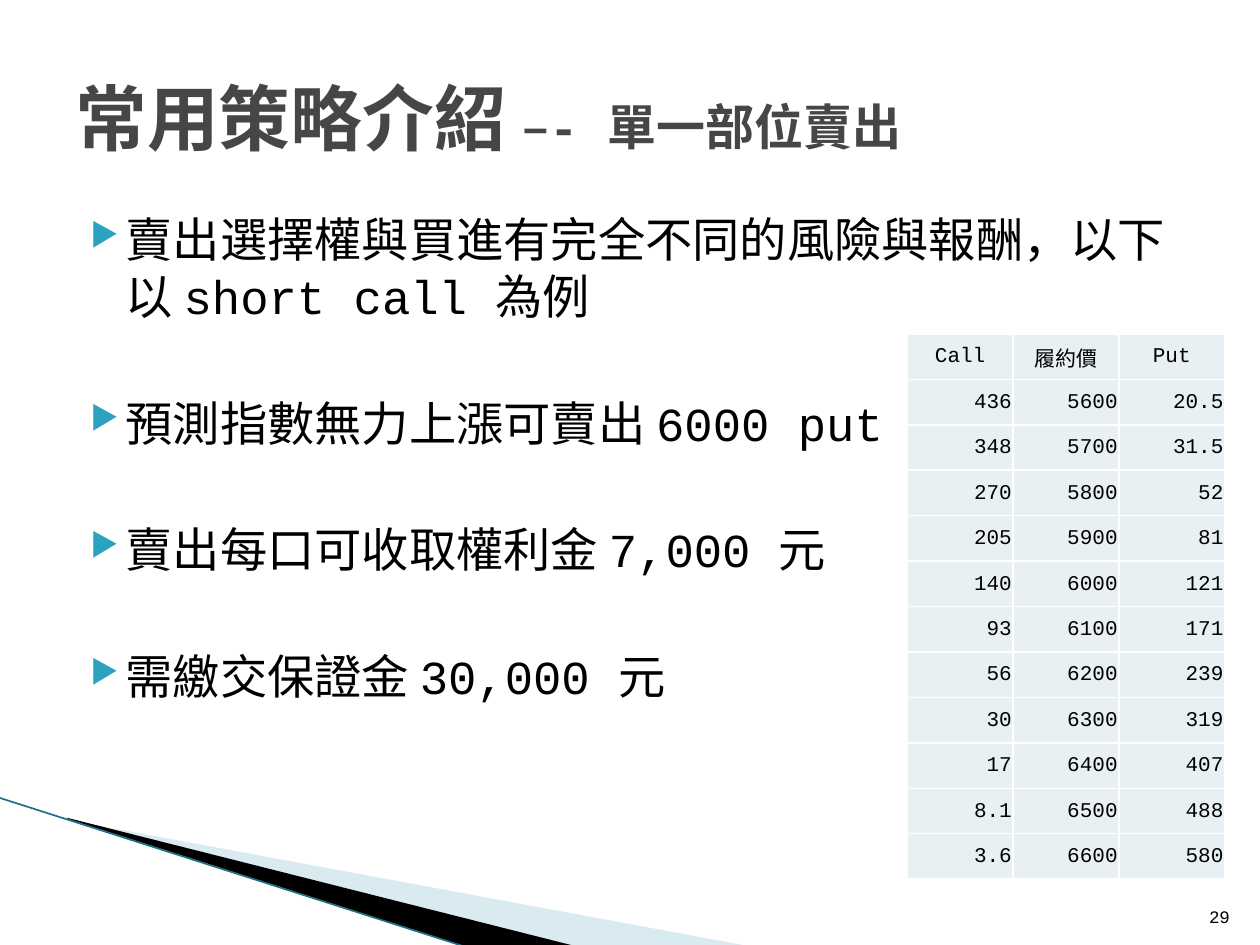
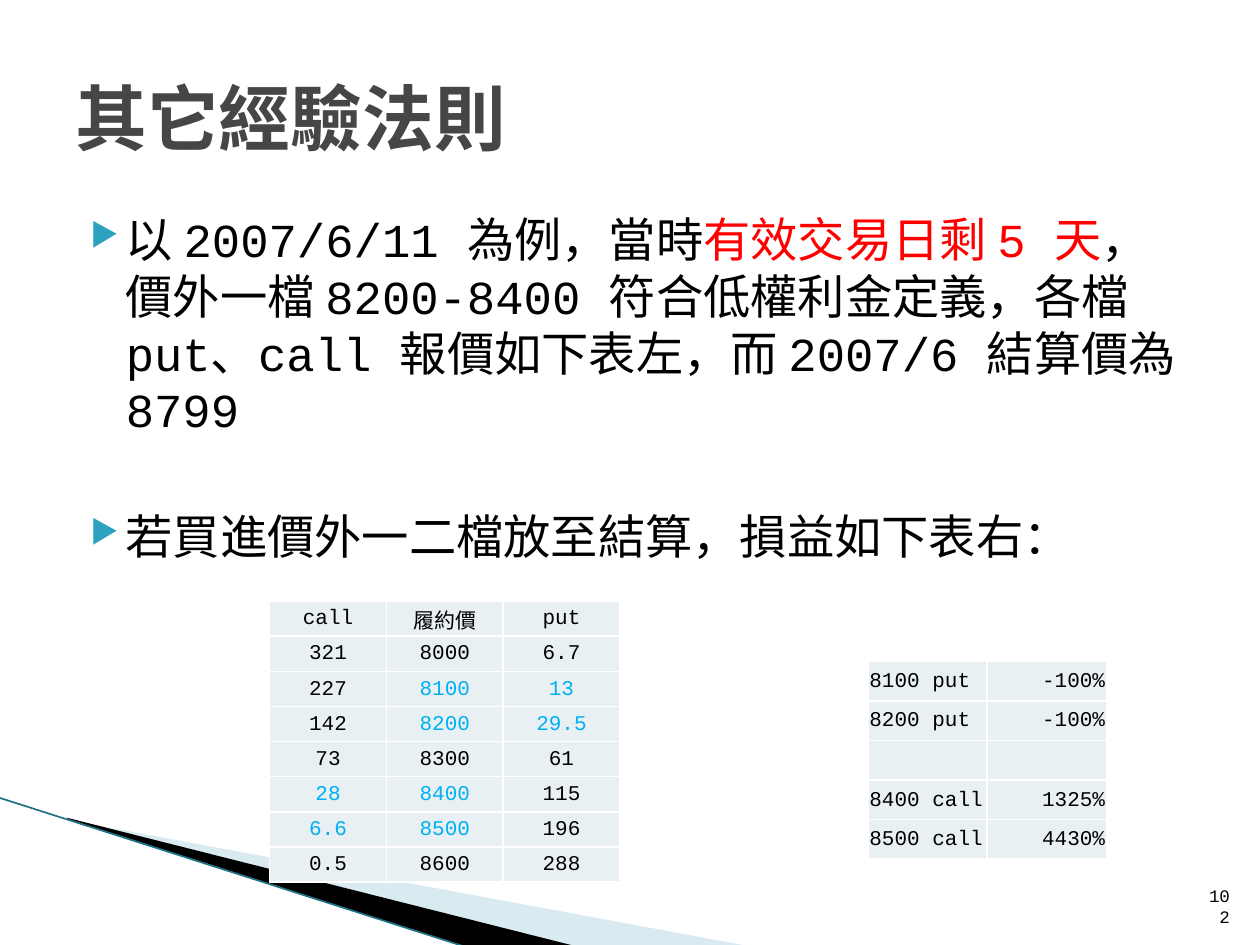
from dataclasses import dataclass
from itertools import product

from lxml.etree import SubElement
from pptx import Presentation
from pptx.dml.color import RGBColor
from pptx.enum.shapes import MSO_CONNECTOR
from pptx.enum.text import MSO_ANCHOR, PP_ALIGN
from pptx.oxml.ns import qn
from pptx.util import Emu, Pt

EMU_PER_PX = 9144


@dataclass(frozen=True)
class Theme:
    """Colours, font and type sizes shared by the slides."""
    font: str = "Courier New"
    ink: str = "000000"
    title: str = "464646"
    bullet: str = "2DA2BF"
    warning: str = "FF0000"
    highlight: str = "00B0F0"
    cell: str = "E8F0F4"
    grid: str = "FFFFFF"
    pale_band: str = "A0CBDC"
    edge: str = "1E7186"
    title_size: int = 41
    subtitle_size: int = 28
    body_size: int = 27
    table_size: int = 12
    number_size: int = 10


THEME = Theme()

OPTION_QUOTES = [
    ("Call", "履約價", "Put"),
    ("436", "5600", "20.5"),
    ("348", "5700", "31.5"),
    ("270", "5800", "52"),
    ("205", "5900", "81"),
    ("140", "6000", "121"),
    ("93", "6100", "171"),
    ("56", "6200", "239"),
    ("30", "6300", "319"),
    ("17", "6400", "407"),
    ("8.1", "6500", "488"),
    ("3.6", "6600", "580"),
]
JUNE_QUOTES = [
    ("call", "履約價", "put"),
    ("321", "8000", "6.7"),
    ("227", "8100", "13"),
    ("142", "8200", "29.5"),
    ("73", "8300", "61"),
    ("28", "8400", "115"),
    ("6.6", "8500", "196"),
    ("0.5", "8600", "288"),
]
OUT_OF_MONEY = {*product((2, 3), (1, 2)), *product((5, 6), (0, 1))}
RETURNS = [
    ("8100 put", "-100%"),
    ("8200 put", "-100%"),
    ("", ""),
    ("8400 call", "1325%"),
    ("8500 call", "4430%"),
]


def px(length):
    """Turn px into EMU."""
    return Emu(round(length * EMU_PER_PX))


def style_font(font, size, color, bold=False):
    """Apply the theme font with a size and colour."""
    font.name = THEME.font
    font.size = Pt(size)
    font.bold = bold
    font.color.rgb = RGBColor.from_string(color)


def add_text_frame(slide, box, anchor):
    """Add a wrapping text box and return its frame."""
    frame = slide.shapes.add_textbox(*map(px, box)).text_frame
    frame.word_wrap = True
    frame.vertical_anchor = anchor
    return frame


def add_band(slide, corners, color, opacity=100):
    """Draw one wedge of the corner decoration."""
    builder = slide.shapes.build_freeform(*corners[0], scale=EMU_PER_PX)
    builder.add_line_segments(corners[1:])
    band = builder.convert_to_shape()
    band.shadow.inherit = False
    band.line.fill.background()
    band.fill.solid()
    band.fill.fore_color.rgb = RGBColor.from_string(color)
    if opacity < 100:
        tint = band.fill._xPr.find(f".//{qn('a:srgbClr')}")
        SubElement(tint, qn("a:alpha"), val=str(opacity * 1000))


def add_corner(slide):
    """Draw the wedges and edge line at the lower left."""
    add_band(slide, [(55, 651), (595, 751), (456, 751), (55, 650)], THEME.pale_band, 40)
    add_band(slide, [(53, 649), (457, 751), (372, 752), (54, 650)], THEME.ink)
    edge = slide.shapes.add_connector(MSO_CONNECTOR.STRAIGHT, *map(px, (-1, 633, 371, 752)))
    edge.line.color.rgb = RGBColor.from_string(THEME.edge)
    edge.line.width = Pt(0.95)
    SubElement(edge._element.spPr, qn("a:effectLst"))


def add_title(slide, heading, subheading=""):
    """Add the title with an optional smaller ending."""
    paragraph = add_text_frame(slide, (50, 30, 900, 125), MSO_ANCHOR.MIDDLE).paragraphs[0]
    style_font(paragraph.font, THEME.title_size, THEME.title, bold=True)
    paragraph.add_run().text = heading
    if subheading:
        ending = paragraph.add_run()
        ending.text = subheading
        ending.font.size = Pt(THEME.subtitle_size)


def add_bullet(paragraph):
    """Give a paragraph the hanging triangle bullet."""
    properties = paragraph._p.get_or_add_pPr()
    properties.set("marL", str(px(40)))
    properties.set("indent", str(px(-28)))
    bullet_color = SubElement(properties, qn("a:buClr"))
    SubElement(bullet_color, qn("a:srgbClr"), val=THEME.bullet)
    SubElement(properties, qn("a:buSzPct"), val="68000")
    SubElement(properties, qn("a:buChar"), char="▶")


def add_points(slide, points):
    """Add bulleted points, each a list of text and colour pairs."""
    frame = add_text_frame(slide, (50, 162, 900, 495), MSO_ANCHOR.TOP)
    for index, point in enumerate(points):
        paragraph = frame.add_paragraph() if index else frame.paragraphs[0]
        add_bullet(paragraph)
        if index:
            paragraph.space_before = Pt(40)
        style_font(paragraph.font, THEME.body_size, THEME.ink)
        for words, color in point:
            run = paragraph.add_run()
            run.text = words
            if color != THEME.ink:
                run.font.color.rgb = RGBColor.from_string(color)


def style_cell(cell, align, color):
    """Set the fill, borders, insets and text style of a cell."""
    cell.margin_left = cell.margin_top = cell.margin_right = px(1)
    cell.margin_bottom = 0
    cell.vertical_anchor = MSO_ANCHOR.MIDDLE
    properties = cell._tc.get_or_add_tcPr()
    for side in ("lnL", "lnR", "lnT", "lnB"):
        border = SubElement(properties, qn(f"a:{side}"), w=str(Pt(1)))
        border_fill = SubElement(border, qn("a:solidFill"))
        SubElement(border_fill, qn("a:srgbClr"), val=THEME.grid)
    cell.fill.solid()
    cell.fill.fore_color.rgb = RGBColor.from_string(THEME.cell)
    paragraph = cell.text_frame.paragraphs[0]
    paragraph.alignment = align
    style_font(paragraph.font, THEME.table_size, color)


def add_figures(slide, box, rows, aligns, header=True, highlights=frozenset()):
    """Add an evenly divided table of figures."""
    grid = slide.shapes.add_table(len(rows), len(aligns), *map(px, box)).table
    grid.first_row = grid.horz_banding = False
    for column in grid.columns:
        column.width = px(box[2] / len(aligns))
    for row in grid.rows:
        row.height = px(box[3] / len(rows))
    for r, c in product(range(len(rows)), range(len(aligns))):
        cell = grid.cell(r, c)
        cell.text = rows[r][c]
        align = PP_ALIGN.CENTER if header and r == 0 else aligns[c]
        style_cell(cell, align, THEME.highlight if (r, c) in highlights else THEME.ink)


def add_page_number(slide, number):
    """Add the page number at the lower right."""
    paragraph = add_text_frame(slide, (946, 701, 40, 40), MSO_ANCHOR.BOTTOM).paragraphs[0]
    paragraph.alignment = PP_ALIGN.RIGHT
    style_font(paragraph.font, THEME.number_size, THEME.ink)
    paragraph.add_run().text = str(number)


def start_slide(deck, number, heading, subheading, points):
    """Add a blank slide with the parts that all slides share."""
    slide = deck.slides.add_slide(deck.slide_layouts[6])
    add_corner(slide)
    add_points(slide, points)
    add_title(slide, heading, subheading)
    add_page_number(slide, number)
    return slide


def main():
    """Build and save the two slides."""
    deck = Presentation()
    deck.slide_width, deck.slide_height = px(1000), px(750)

    selling_points = [
        "賣出選擇權與買進有完全不同的風險與報酬，以下以 short call 為例",
        "預測指數無力上漲可賣出 6000 put",
        "賣出每口可收取權利金 7,000 元",
        "需繳交保證金 30,000 元",
    ]
    selling = start_slide(deck, 29, "常用策略介紹 ", "–- 單一部位賣出",
                          [[(words, THEME.ink)] for words in selling_points])
    add_figures(selling, (720, 265, 252, 433), OPTION_QUOTES, [PP_ALIGN.RIGHT] * 3)

    rule_points = [
        [("以 2007/6/11 為例，當時", THEME.ink),
         ("有效交易日剩 5 天", THEME.warning),
         ("，價外一檔 8200-8400 符合低權利金定義，各檔 put、call 報價如下表左，"
          "而 2007/6 結算價為 8799", THEME.ink)],
        [("若買進價外一二檔放至結算，損益如下表右：", THEME.ink)],
    ]
    rules = start_slide(deck, 102, "其它經驗法則", "", rule_points)
    add_figures(rules, (214, 477, 278, 223), JUNE_QUOTES, [PP_ALIGN.CENTER] * 3,
                highlights=OUT_OF_MONEY)
    add_figures(rules, (689, 525, 189, 157), RETURNS, [PP_ALIGN.LEFT, PP_ALIGN.RIGHT],
                header=False)

    deck.save("out.pptx")


if __name__ == "__main__":
    main()
